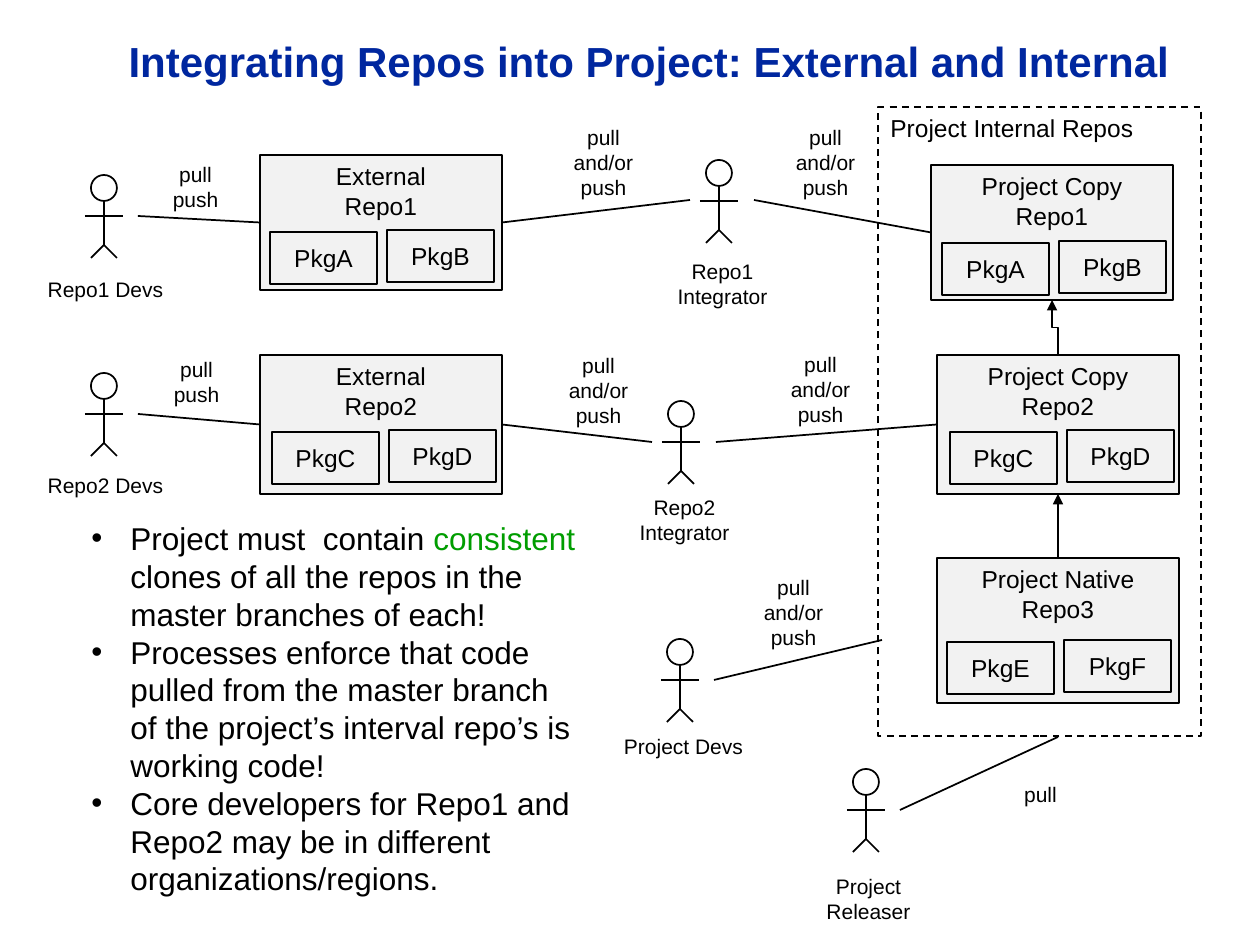
from pptx import Presentation
from pptx.dml.color import RGBColor
from pptx.enum.dml import MSO_LINE
from pptx.enum.shapes import MSO_CONNECTOR, MSO_SHAPE
from pptx.enum.text import MSO_ANCHOR, MSO_AUTO_SIZE, PP_ALIGN
from pptx.oxml.ns import qn
from pptx.util import Pt
from lxml import etree

BLACK = RGBColor(0x00, 0x00, 0x00)
BLUE = RGBColor(0x00, 0x27, 0x9F)
GREEN = RGBColor(0x00, 0x9D, 0x00)
GRAY = RGBColor(0xF2, 0xF2, 0xF2)
RECT, OVAL = MSO_SHAPE.RECTANGLE, MSO_SHAPE.OVAL
STRAIGHT, ELBOW = MSO_CONNECTOR.STRAIGHT, MSO_CONNECTOR.ELBOW
TOP, MIDDLE = MSO_ANCHOR.TOP, MSO_ANCHOR.MIDDLE
LEFT, CENTER = PP_ALIGN.LEFT, PP_ALIGN.CENTER
GROW = MSO_AUTO_SIZE.SHAPE_TO_FIT_TEXT
DASH = MSO_LINE.DASH
FONT = "Arial"
SYNC = "pull\nand/or\npush"


def px(n):
    return round(n * 914400 / 126)


def style(frame, size, color=BLACK, align=CENTER, bold=False):
    frame.word_wrap = True
    for para in frame.paragraphs:
        para.alignment = align
        for run in para.runs:
            font = run.font
            font.name, font.size, font.bold = FONT, Pt(size), bold
            font.color.rgb = color


def shape(shapes, kind, x, y, w, h, fill=None):
    item = shapes.add_shape(kind, px(x), px(y), px(w), px(h))
    item.shadow.inherit = False
    if fill is None:
        item.fill.background()
    else:
        item.fill.solid()
        item.fill.fore_color.rgb = fill
    item.line.color.rgb = BLACK
    item.line.width = Pt(1)
    return item


def box(shapes, x, y, w, h, text, anchor=TOP, fill=GRAY, align=CENTER):
    item = shape(shapes, RECT, x, y, w, h, fill)
    frame = item.text_frame
    frame.text = text
    frame.vertical_anchor = anchor
    style(frame, 14, align=align)
    return item


def repo(shapes, x, y, h, name, pkgs, dx, dy):
    item = box(shapes, x, y, 242, h, name)
    for i, pkg in enumerate(pkgs):
        box(shapes, x + dx + 117 * i, y + dy - 2 * i, 107, 52, pkg, MIDDLE)
    return item


def line(shapes, x1, y1, x2, y2, kind=STRAIGHT):
    item = shapes.add_connector(kind, px(x1), px(y1), px(x2), px(y2))
    item.line.color.rgb = BLACK
    item.line.width = Pt(1)
    etree.SubElement(item._element.spPr, qn("a:effectLst"))
    return item


def join(shapes, x, y, target, site):
    item = line(shapes, x, y, x, y)
    item.end_connect(target, site)


def rise(shapes, low, high):
    item = line(shapes, 0, 0, 0, 0, ELBOW)
    item.begin_connect(low, 0)
    item.end_connect(high, 2)
    x1, y1 = low.left + low.width // 2, low.top
    x2, y2 = high.left + high.width // 2, high.top + high.height
    run, span = abs(x1 - x2), y1 - y2
    item.left, item.top = (x1 + x2 - span) // 2, (y1 + y2 - run) // 2
    item.width, item.height = span, run
    xfrm = item._element.spPr.find(qn("a:xfrm"))
    xfrm.attrib.pop("flipH", None)
    xfrm.set("flipV", "1")
    xfrm.set("rot", "16200000")
    etree.SubElement(item.line._get_or_add_ln(), qn("a:tailEnd"), type="triangle")


def person(shapes, x, y):
    group = shapes.add_group_shape().shapes
    shape(group, OVAL, x - 13, y, 26, 26)
    line(group, x, y + 26, x, y + 70)
    line(group, x - 19, y + 41, x + 19, y + 41)
    for side in (-13, 13):
        line(group, x, y + 70, x + side, y + 83)


def label(shapes, x, y, h, text):
    item = shapes.add_textbox(px(x), px(y), px(169), px(h))
    frame = item.text_frame
    frame.text = text
    style(frame, 12)
    frame.auto_size = GROW


def title(shapes, text):
    frame = shapes.add_textbox(px(38), px(13), px(1222), px(95)).text_frame
    frame.text = text
    frame.vertical_anchor = MIDDLE
    style(frame, 24, BLUE, bold=True)


def notes(shapes, items):
    frame = shapes.add_textbox(px(55), px(513), px(536), px(394)).text_frame
    for i, parts in enumerate(items):
        para = frame.add_paragraph() if i else frame.paragraphs[0]
        props = para._p.get_or_add_pPr()
        props.set("marL", str(px(63)))
        props.set("indent", str(px(-39)))
        etree.SubElement(props, qn("a:buFont"), typeface=FONT)
        etree.SubElement(props, qn("a:buChar"), char="•")
        for part in parts:
            para.add_run().text = part
    style(frame, 18, align=LEFT)
    frame.paragraphs[0].runs[1].font.color.rgb = GREEN
    frame.auto_size = GROW


def main():
    deck = Presentation()
    deck.slide_width, deck.slide_height = px(1260), px(945)
    shapes = deck.slides.add_slide(deck.slide_layouts[6]).shapes

    title(shapes, "Integrating Repos into Project: External and Internal")
    ext1 = repo(shapes, 260, 155, 135, "External\nRepo1", ("PkgA", "PkgB"), 10, 77)
    ext2 = repo(shapes, 260, 355, 139, "External\nRepo2", ("PkgC", "PkgD"), 12, 77)
    own = repo(shapes, 937, 558, 145, "Project Native\nRepo3", ("PkgE", "PkgF"), 10, 84)
    copy1 = repo(shapes, 931, 165, 135, "Project Copy\nRepo1", ("PkgA", "PkgB"), 11, 78)
    copy2 = repo(shapes, 937, 355, 139, "Project Copy\nRepo2", ("PkgC", "PkgD"), 13, 77)
    frame = box(shapes, 878, 107, 323, 629, "Project Internal Repos", fill=None, align=LEFT)
    frame.line.dash_style = DASH

    rise(shapes, copy2, copy1)
    rise(shapes, own, copy2)
    for x, y, target, site in (
        (138, 216, ext1, 1), (138, 414, ext2, 1),
        (690, 200, ext1, 3), (754, 200, copy1, 1),
        (652, 442, ext2, 3), (716, 442, copy2, 1),
    ):
        join(shapes, x, y, target, site)
    line(shapes, 714, 680, 882, 640)
    line(shapes, 900, 810, 1058, 737)

    for x, y in ((104, 175), (104, 373), (719, 160), (681, 401), (680, 639), (866, 769)):
        person(shapes, x, y)

    for x, y, h, text in (
        (21, 270, 38, "Repo1 Devs"), (21, 466, 38, "Repo2 Devs"),
        (638, 252, 64, "Repo1 Integrator"), (600, 488, 64, "Repo2 Integrator"),
        (599, 727, 38, "Project Devs"), (784, 867, 64, "Project Releaser"),
        (111, 155, 64, "pull\npush"), (112, 350, 64, "pull\npush"),
        (519, 118, 89, SYNC), (741, 118, 89, SYNC),
        (514, 346, 89, SYNC), (736, 345, 89, SYNC),
        (709, 568, 89, SYNC), (956, 775, 38, "pull"),
    ):
        label(shapes, x, y, h, text)

    notes(shapes, (
        ("Project must  contain ", "consistent",
         " clones of all the repos in the master branches of each!"),
        ("Processes enforce that code pulled from the master branch "
         "of the project’s interval repo’s is working code!",),
        ("Core developers for Repo1 and Repo2 may be in different "
         "organizations/regions.",),
    ))
    deck.save("out.pptx")


if __name__ == "__main__":
    main()
